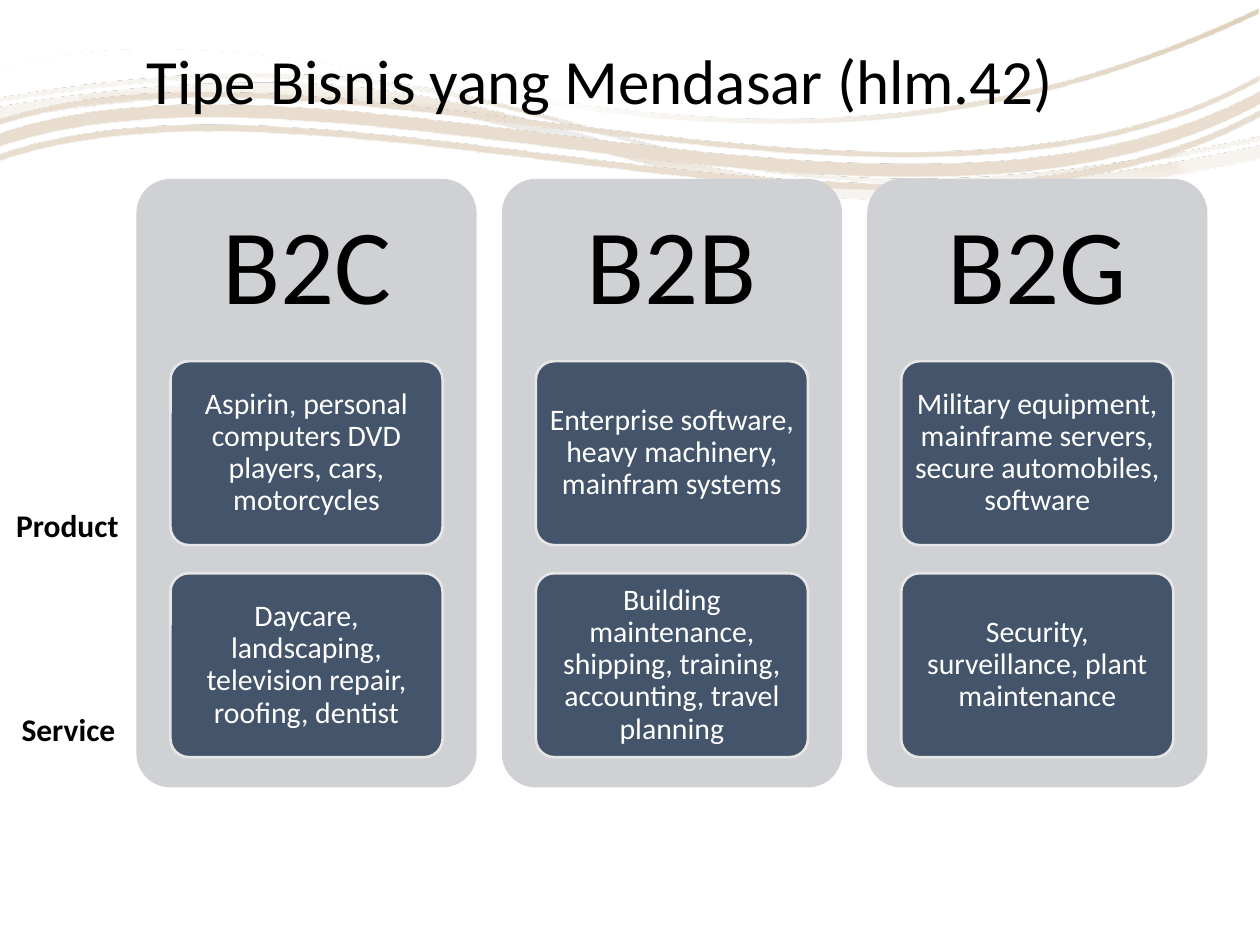
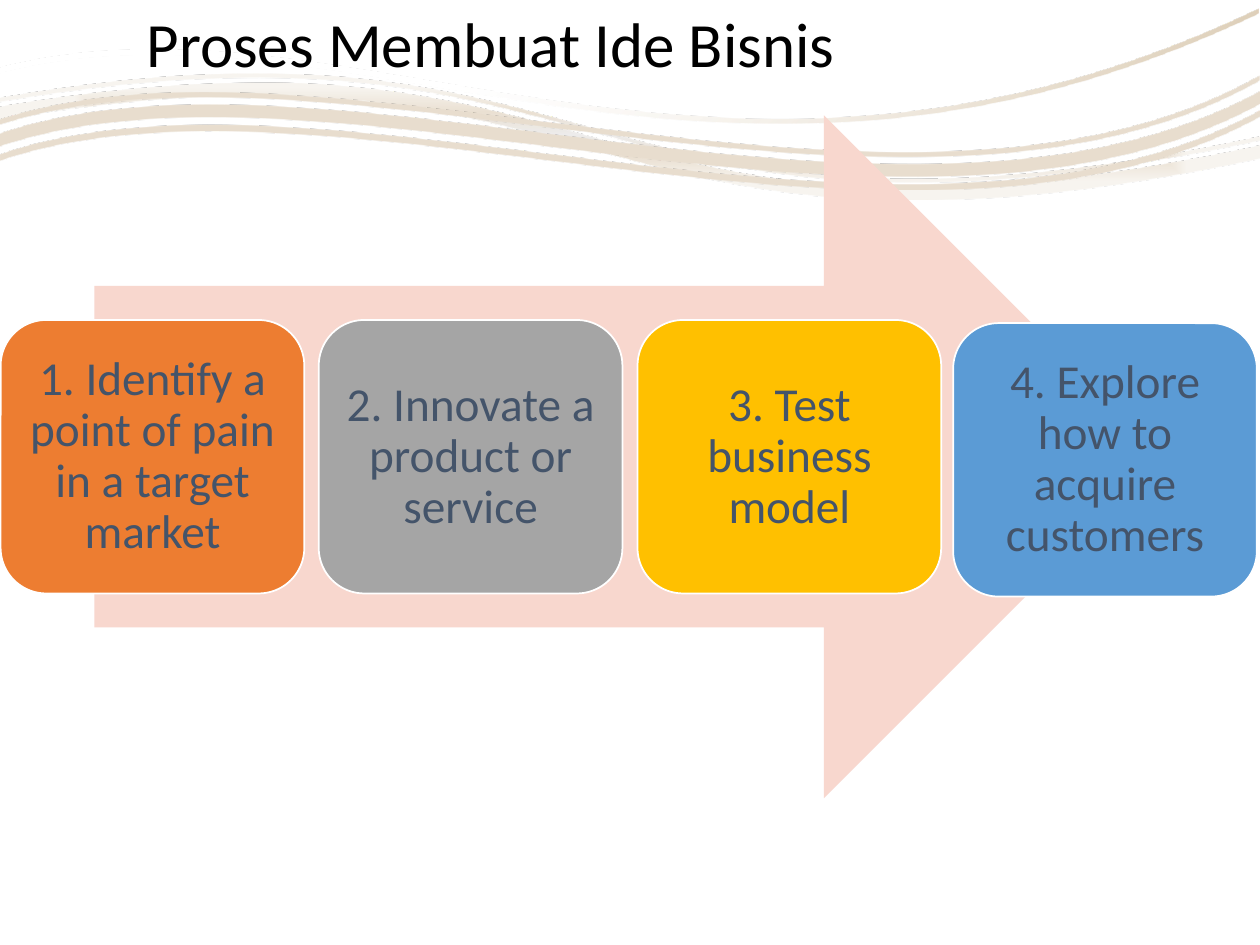
import math

import lxml.etree
import pptx
import pptx.util
import pptx.dml.color
import pptx.enum.shapes
import pptx.enum.text
import pptx.oxml.ns

COLUMNS, ROWS = 100, 75
FONT = "Calibri"
BLACK, WHITE, SLATE = "000000", "FFFFFF", "44546A"
PANEL_GREY, CARD_EDGE, ARROW_PINK = "CFD1D4", "E7E6E6", "F8D7CE"
WAVE_TILT = -3.5

SHAPE = pptx.enum.shapes.MSO_SHAPE
ALIGN = pptx.enum.text.PP_ALIGN
ANCHOR = pptx.enum.text.MSO_ANCHOR


def shade(code):
    return pptx.dml.color.RGBColor.from_string(code)


def node(parent, tag, **attributes):
    """Append a drawing element to its parent."""
    values = {name: str(value) for name, value in attributes.items()}
    return lxml.etree.SubElement(parent, pptx.oxml.ns.qn(f"a:{tag}"), values)


def write(frame, text, size=18, color=BLACK, bold=False, align=ALIGN.LEFT,
          anchor=ANCHOR.MIDDLE, margins=(0.1, 0.05), spacing=0.9):
    """Fill a text frame; margins are (horizontal, vertical) inches."""
    frame.word_wrap = True
    frame.vertical_anchor = anchor
    across, down = (pptx.util.Inches(margin) for margin in margins)
    frame.margin_left = frame.margin_right = across
    frame.margin_top = frame.margin_bottom = down
    para = frame.paragraphs[0]
    para.alignment = align
    para.line_spacing = spacing
    span = para.add_run()
    span.text = text
    span.font.name = FONT
    span.font.size = pptx.util.Pt(size)
    span.font.bold = bold
    span.font.color.rgb = shade(color)


def ribbon(upper, thickness):
    """Pair an edge with the same edge moved down."""
    return upper, [(x, y + thickness) for x, y in upper]


# Each wave: box, ribbons as pairs of cubic edges in grid cells,
# gradient stops (position, colour, opacity) and gradient shape.
WAVES = (
    ((0.1, 3.9, 99.8, 13.5),
     [([(-0.1, 8.5), (9.2, 6.9), (16.6, 6.5), (22.8, 6.6),
        (50.2, 7.4), (55.5, 21), (100, 11.5)],
       [(-0.1, 9.5), (49.9, 1), (45.4, 24.1), (100.1, 12.5)]),
      ([(-0.1, 7.8), (9.2, 6.2), (16.6, 5.7), (22.8, 5.9),
        (50.2, 6.7), (55.5, 20.3), (100, 10.8)],
       [(-0.1, 8.1), (49.9, -0.4), (45.3, 22.7), (100, 11.1)])],
     ((0, "ECEBEB", 90), (18, "EAE0D2", 100), (37, "F7F4EF", 100), (100, "F7F4EF", 100)),
     ("shape", (50, 50, 50, 50))),
    ((0.2, 1.5, 100.1, 17.1),
     [ribbon([(-0.1, 5.4), (27.8, -1.9), (56.7, 21.2), (99.9, 0.7)], 0.4)],
     ((36, WHITE, 30), (100, "CBB491", 100)),
     ("linear", 45)),
    ((0, 5.1, 100.2, 11.5),
     [ribbon([(0, 12.2), (26, 3.3), (71.9, 24), (100, 8.7)], 0.5),
      ribbon([(-0.1, 10.6), (26, 1.7), (71.8, 22.4), (100, 7.2)], 1),
      ribbon([(-0.1, 9.5), (26.2, 0.9), (72, 21.6), (99.9, 6)], 0.4)],
     ((36, WHITE, 47), (100, "E8DDCE", 100)),
     ("rect", (100, 100, 0, 0))),
)


class SlideBuilder:
    """Draws on the current slide; lengths are grid columns and rows."""

    def __init__(self):
        self.deck = pptx.Presentation()
        self.deck.slide_width = pptx.util.Inches(10)
        self.deck.slide_height = pptx.util.Inches(7.5)
        self.page = None

    def place(self, x, y):
        return (round(x * self.deck.slide_width / COLUMNS),
                round(y * self.deck.slide_height / ROWS))

    def frame(self, left, top, width, height):
        return *self.place(left, top), *self.place(width, height)

    def new_page(self, title, top, height):
        self.page = self.deck.slides.add_slide(self.deck.slide_layouts[6])
        for wave in WAVES:
            self.wave(*wave)
        self.label(title, 10.65, top, 78.8, height, size=36)

    def wave(self, box, ribbons, stops, spread):
        """Draw tilted ribbons with smooth cubic edges."""
        left, top, width, height = box
        builder = self.page.shapes.build_freeform(*self.place(left, top), scale=1.0)
        builder.add_line_segments([self.place(left + width, top + height)])
        band = builder.convert_to_shape()
        self.paint(band, WHITE)
        band.rotation = WAVE_TILT
        outline = next(band.element.iter(pptx.oxml.ns.qn("a:path")))
        for child in list(outline):
            outline.remove(child)

        turn = math.radians(-WAVE_TILT)

        def add(tag, points):
            segment = node(outline, tag)
            for x, y in points:
                across, down = x - left - width / 2, y - top - height / 2
                local = self.place(
                    width / 2 + across * math.cos(turn) - down * math.sin(turn),
                    height / 2 + across * math.sin(turn) + down * math.cos(turn))
                node(segment, "pt", x=local[0], y=local[1])

        def add_curves(edge):
            for first in range(1, len(edge), 3):
                add("cubicBezTo", edge[first:first + 3])

        for upper, lower in ribbons:
            add("moveTo", upper[:1])
            add_curves(upper)
            add("lnTo", lower[-1:])
            add_curves(lower[::-1])
            node(outline, "close")
        self.blend(band, stops, *spread)

    def blend(self, shape, stops, kind, focus):
        """Fill with a gradient; focus is an angle or a rectangle in percent."""
        shape.fill.gradient()
        gradient = next(shape.element.iter(pptx.oxml.ns.qn("a:gradFill")))
        for child in list(gradient):
            gradient.remove(child)
        stop_list = node(gradient, "gsLst")
        for position, code, opacity in stops:
            color = node(node(stop_list, "gs", pos=position * 1000), "srgbClr", val=code)
            if opacity < 100:
                node(color, "alpha", val=opacity * 1000)
        if kind == "linear":
            node(gradient, "lin", ang=focus * 60000, scaled=1)
        else:
            sides = {side: share * 1000 for side, share in zip("ltrb", focus)}
            node(node(gradient, "path", path=kind), "fillToRect", **sides)

    def paint(self, shape, fill, line=None, line_width=1):
        shape.shadow.inherit = False
        shape.fill.solid()
        shape.fill.fore_color.rgb = shade(fill)
        if line:
            shape.line.color.rgb = shade(line)
            shape.line.width = pptx.util.Pt(line_width)
        else:
            shape.line.fill.background()

    def label(self, text, left, top, width, height, **style):
        box = self.page.shapes.add_textbox(*self.frame(left, top, width, height))
        write(box.text_frame, text, **style)

    def block(self, kind, left, top, width, height, fill, rounding=None, **edge):
        shape = self.page.shapes.add_shape(kind, *self.frame(left, top, width, height))
        if rounding is not None:
            shape.adjustments[0] = rounding
        self.paint(shape, fill, **edge)
        return shape

    def card(self, text, left, top, width, height, fill, inset, size, color, **edge):
        """A rounded block with its text in a box set in from the edge."""
        self.block(SHAPE.ROUNDED_RECTANGLE, left, top, width, height, fill, **edge)
        self.label(text, left + inset, top + inset, width - 2 * inset,
                   height - 2 * inset, size=size, color=color, align=ALIGN.CENTER,
                   margins=(inset / 10, inset / 10))

    def panel(self, left, heading, offers):
        """A business type with its product and service cards."""
        top, width = 14.2, 27
        self.block(SHAPE.ROUNDED_RECTANGLE, left, top, width, 48.3, PANEL_GREY, 0.1)
        self.label(heading, left, top, width, 14.5, size=61, align=ALIGN.CENTER,
                   margins=(0.25, 0.25))
        for row, offer in enumerate(offers):
            self.card(offer, left + 2.7, 28.67 + 16.83 * row, 21.6, 14.6, SLATE, 0.45,
                      17, WHITE, rounding=0.1, line=CARD_EDGE, line_width=1.5)


def business_types(builder):
    builder.new_page("Tipe Bisnis yang Mendasar (hlm.42)", 3.3, 6.7)
    types = {
        "B2C": ("Aspirin, personal computers DVD players, cars, motorcycles",
                "Daycare, landscaping, television repair, roofing, dentist"),
        "B2B": ("Enterprise software, heavy machinery, mainfram systems",
                "Building maintenance, shipping, training, accounting, travel planning"),
        "B2G": ("Military equipment, mainframe servers, secure automobiles, software",
                "Security, surveillance, plant maintenance"),
    }
    for column, (heading, offers) in enumerate(types.items()):
        builder.panel(10.83 + 29 * column, heading, offers)
    for text, left, top in (("Product", 0.3, 39.65), ("Service", 0.73, 55.85)):
        builder.label(text, left, top, 10.6, 4, bold=True,
                      anchor=ANCHOR.TOP, spacing=1.0)


def idea_process(builder):
    builder.new_page("Proses Membuat Ide Bisnis", -1.7, 10.8)
    builder.block(SHAPE.RIGHT_ARROW, 7.5, 9.15, 85, 54.2, ARROW_PINK)
    steps = (
        (0.05, 25.4, "1. Identify a point of pain in a target market", "ED7D31"),
        (25.3, 25.4, "2. Innovate a product or service", "A5A5A5"),
        (50.6, 25.4, "3. Test business model", "FFC000"),
        (75.65, 25.65, "4. Explore how to acquire customers", "5B9BD5"),
    )
    for left, top, text, fill in steps:
        builder.card(text, left, top, 24.1, 21.7, fill, 1.06, 27, SLATE, line=WHITE)


def main():
    builder = SlideBuilder()
    business_types(builder)
    idea_process(builder)
    builder.deck.save("out.pptx")


if __name__ == "__main__":
    main()
